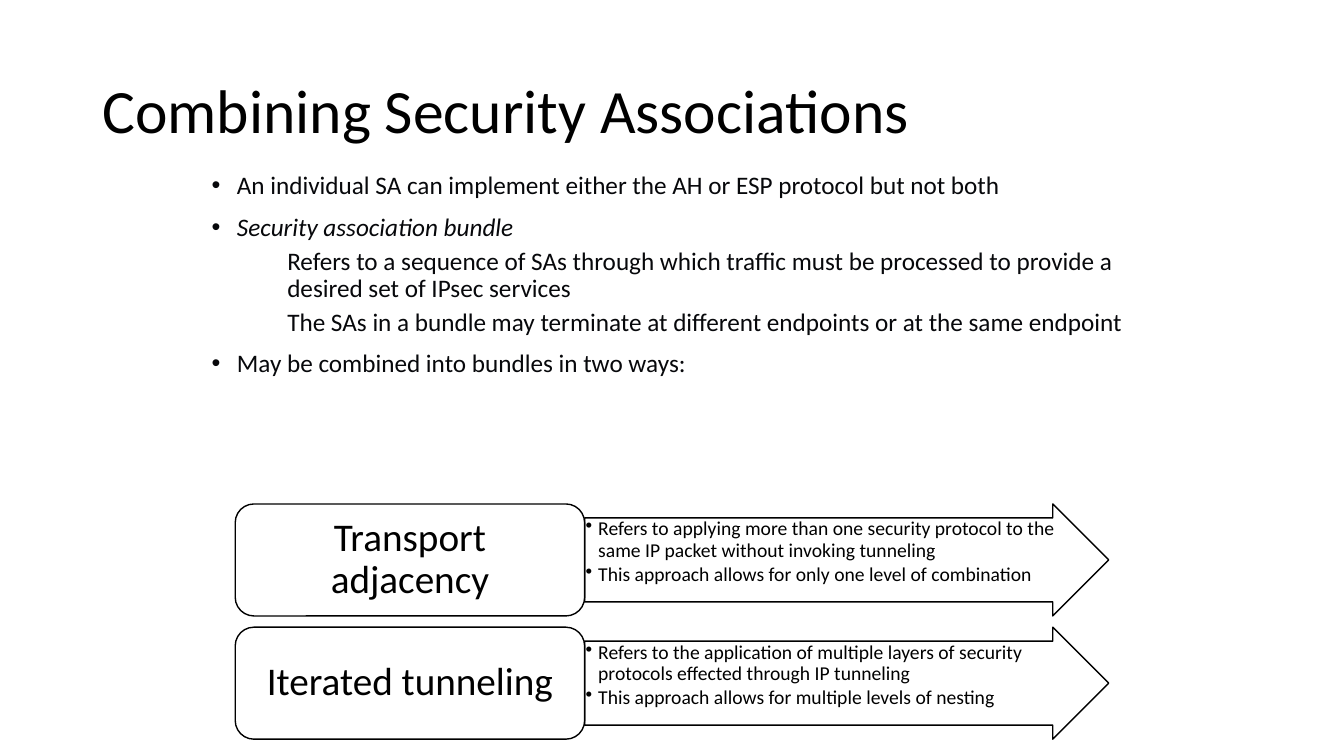
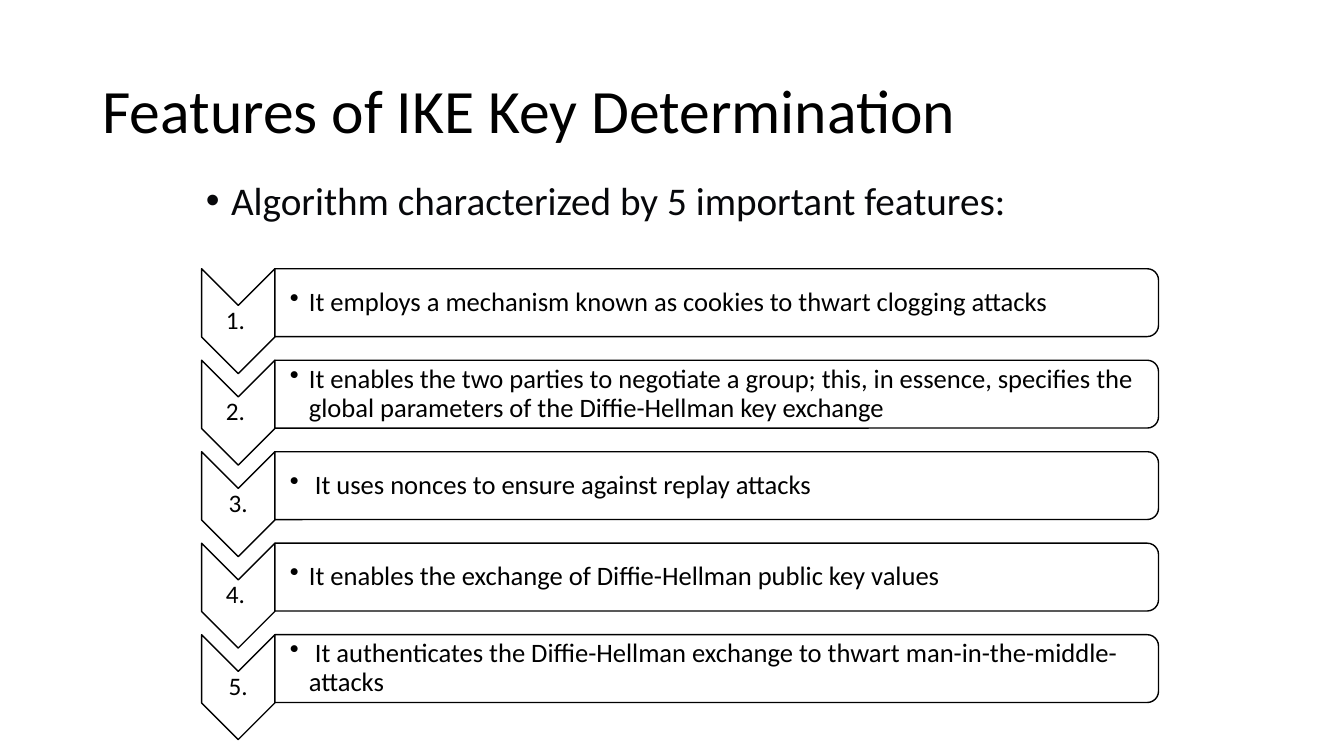
import pptx
import pptx.dml.color
import pptx.enum.shapes
import pptx.enum.text
import pptx.oxml
import pptx.oxml.ns
import pptx.util

BLACK = pptx.dml.color.RGBColor(0x00, 0x00, 0x00)
INK = pptx.dml.color.RGBColor(0x07, 0x08, 0x0B)
WHITE = pptx.dml.color.RGBColor(0xFF, 0xFF, 0xFF)

COLUMNS, ROWS = 160, 90
CELL = pptx.util.Inches(1) // 12

SHAPE = pptx.enum.shapes.MSO_SHAPE
ALIGN = pptx.enum.text.PP_ALIGN
ANCHOR = pptx.enum.text.MSO_ANCHOR

# Sizes and gaps are points; indents and insets are grid cells.
STYLES = {
    "title": dict(size=44),
    "point": dict(size=18, color=INK, before=10, indent=3, bullet=True),
    "detail": dict(size=18, color=INK, before=5, indent=9),
    "lead": dict(size=28, color=INK, before=10, indent=3, bullet=True),
    "name": dict(size=28, align=ALIGN.CENTER),
    "note": dict(size=14, after=2, indent=1.5, bullet=True),
    "number": dict(size=18, align=ALIGN.CENTER),
    "feature": dict(size=19, indent=2.25, bullet=True),
}


def cells(count):
    return round(count * CELL)


class Deck:
    """Holds the presentation, its style and the current slide."""

    font = "Calibri"

    def __init__(self):
        self.presentation = pptx.Presentation()
        self.presentation.slide_width = COLUMNS * CELL
        self.presentation.slide_height = ROWS * CELL
        self.slide = None

    def start(self, title):
        layout = self.presentation.slide_layouts[1]
        self.slide = self.presentation.slides.add_slide(layout)
        heading = self.slide.shapes.title
        self.place(heading, (11, 4.8, 138, 17.4))
        self.set_lines(heading, [("title", title)], ANCHOR.MIDDLE)

    def body(self, box, lines):
        listing = self.slide.placeholders[1]
        self.place(listing, box)
        self.set_lines(listing, lines, ANCHOR.TOP)

    def place(self, shape, box):
        for side, length in zip(("left", "top", "width", "height"), box):
            setattr(shape, side, cells(length))

    def outline(self, preset, box, quarter_turn=False):
        """Adds a white shape that covers box as seen, even when turned."""
        left, top, width, height = box
        if quarter_turn:
            left, top = left + (width - height) / 2, top + (height - width) / 2
            width, height = height, width
        shape = self.slide.shapes.add_shape(
            preset, *map(cells, (left, top, width, height)))
        shape.rotation = 90 if quarter_turn else 0
        shape.shadow.inherit = False
        shape.fill.solid()
        shape.fill.fore_color.rgb = WHITE
        shape.line.color.rgb = BLACK
        shape.line.width = pptx.util.Pt(1)
        return shape

    def label(self, box, style, text, left_inset=0.12):
        caption = self.slide.shapes.add_textbox(*map(cells, box))
        self.set_lines(caption, [(style, text)], ANCHOR.MIDDLE,
                       (left_inset, 0.12, 0.12, 0.12))

    def set_lines(self, shape, lines, anchor, insets=(1.2, 0.6, 1.2, 0.6)):
        """Fills shape with (style, text) lines; insets run left, top, right, bottom."""
        frame = shape.text_frame
        settings = dict(word_wrap=True, vertical_anchor=anchor,
                        auto_size=pptx.enum.text.MSO_AUTO_SIZE.NONE)
        for side, inset in zip(("left", "top", "right", "bottom"), insets):
            settings["margin_" + side] = cells(inset)
        for name, value in settings.items():
            setattr(frame, name, value)
        for index, (style, text) in enumerate(lines):
            paragraph = frame.add_paragraph() if index else frame.paragraphs[0]
            self.set_paragraph(paragraph, text, **STYLES[style])

    def set_paragraph(self, paragraph, text, size, color=BLACK, align=ALIGN.LEFT,
                      before=0, after=0, indent=0, bullet=False):
        settings = dict(alignment=align, line_spacing=0.9,
                        space_before=pptx.util.Pt(before),
                        space_after=pptx.util.Pt(after))
        for name, value in settings.items():
            setattr(paragraph, name, value)
        properties = paragraph._p.get_or_add_pPr()
        properties.set("marL", str(cells(indent)))
        properties.set("indent", str(-cells(indent) if bullet else 0))
        mark = 'a:buChar %s char="•"' if bullet else "a:buNone %s"
        properties.append(pptx.oxml.parse_xml(
            "<" + mark % pptx.oxml.ns.nsdecls("a") + "/>"))
        run = paragraph.add_run()
        run.text = text
        for name, value in dict(name=self.font, size=pptx.util.Pt(size)).items():
            setattr(run.font, name, value)
        run.font.color.rgb = color


def combining_slide(deck):
    deck.start("Combining Security Associations")
    deck.body((24, 20, 112, 56.4), [
        ("point", "An individual SA can implement either the AH or ESP protocol but not both"),
        ("point", "Security association bundle"),
        ("detail", "Refers to a sequence of SAs through which traffic must be processed "
                   "to provide a desired set of IPsec services"),
        ("detail", "The SAs in a bundle may terminate at different endpoints or at the same endpoint"),
        ("point", "May be combined into bundles in two ways:"),
    ])
    bundle_term = deck.slide.placeholders[1].text_frame.paragraphs[1]
    bundle_term.runs[0].font.italic = True

    ways = [
        ("Transport adjacency",
         ["Refers to applying more than one security protocol to the same IP packet "
          "without invoking tunneling",
          "This approach allows for only one level of combination"]),
        ("Iterated tunneling",
         ["Refers to the application of multiple layers of security protocols "
          "effected through IP tunneling",
          "This approach allows for multiple levels of nesting"]),
    ]
    height, pitch = 13.33, 14.67
    for index, (way, notes) in enumerate(ways):
        top = 60 + index * pitch
        arrow = deck.outline(SHAPE.RIGHT_ARROW, (69.6, top, 62.4, height))
        arrow.adjustments[0] = 0.75
        deck.set_lines(arrow, [("note", note) for note in notes], ANCHOR.TOP, (0.12,) * 4)
        card = deck.outline(SHAPE.ROUNDED_RECTANGLE, (28, top, 41.6, height))
        deck.set_lines(card, [("name", way)], ANCHOR.MIDDLE, (1.44, 0.72, 1.44, 0.72))


def features_slide(deck):
    deck.start("Features of IKE Key Determination")
    deck.body((23.3, 21, 115.3, 59.4),
              [("lead", "Algorithm characterized by 5 important features:")])
    features = [
        ("1. ", "It employs a mechanism known as cookies to thwart clogging attacks"),
        ("2. ", "It enables the two parties to negotiate a group; this, in essence, "
                "specifies the global parameters of the Diffie-Hellman key exchange"),
        ("3.", " It uses nonces to ensure against replay attacks"),
        ("4. ", "It enables the exchange of Diffie-Hellman public key values"),
        ("5.", " It authenticates the Diffie-Hellman exchange to thwart "
               "man-in-the-middle-attacks"),
    ]
    left, chevron_width, pitch = 24, 8.72, 10.89
    for index, (number, feature) in enumerate(features):
        top = 32 + index * pitch
        step = (left, top, chevron_width, 12.48)
        bar = (left + chevron_width, top, 105.2, 8.08)
        deck.outline(SHAPE.CHEVRON, step, quarter_turn=True)
        deck.label(step, "number", number)
        deck.outline(SHAPE.ROUND_2_SAME_RECTANGLE, bar, quarter_turn=True)
        deck.label(bar, "feature", feature, left_inset=1.8)


def main():
    deck = Deck()
    combining_slide(deck)
    features_slide(deck)
    deck.presentation.save("out.pptx")


if __name__ == "__main__":
    main()
